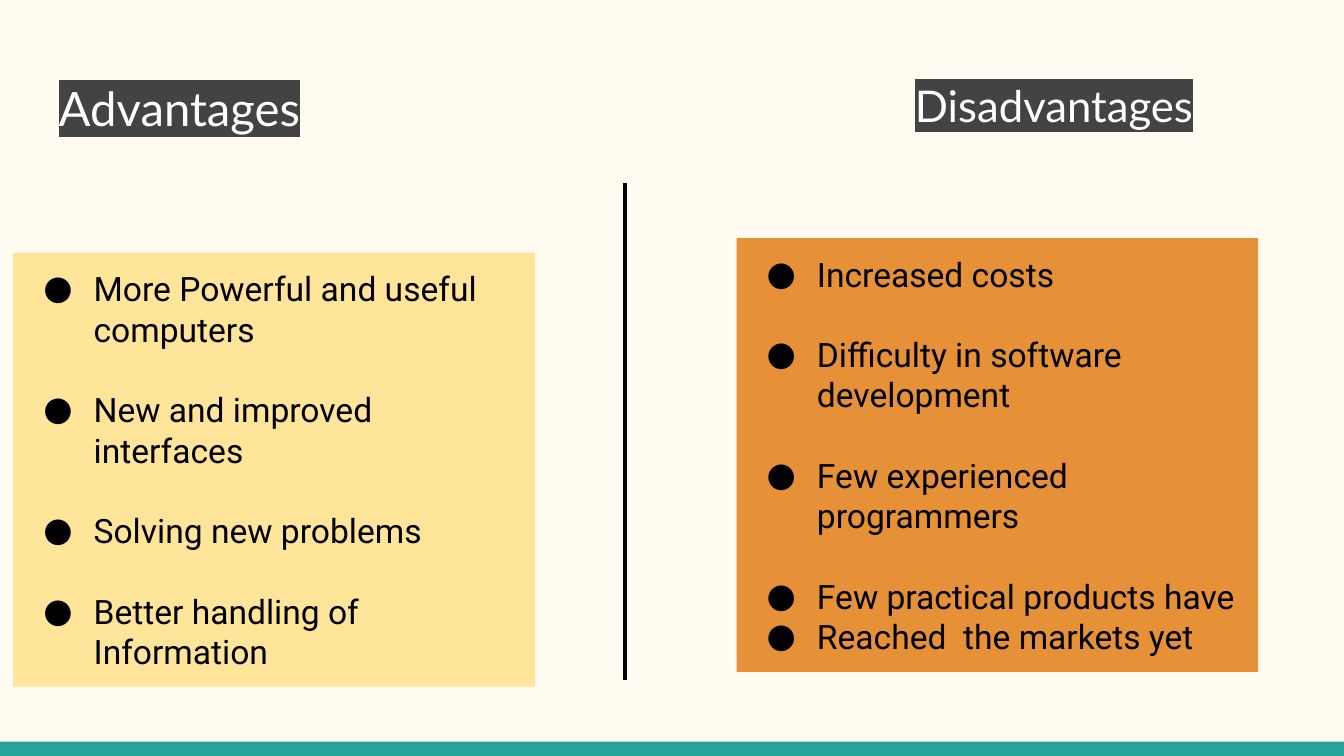
from lxml import etree
from pptx import Presentation
from pptx import util as u
from pptx.dml.color import RGBColor
from pptx.enum import shapes, text
from pptx.oxml import ns

HUES = {
    "page": "FFFBF0", "bar": "26A69A", "ink": "000000", "white": "FFFFFF",
    "mark": "434343", "pros": "FFE599", "cons": "E69138",
}
PAD = 0.25
LINE = 21.6

PROS = [
    "More Powerful and useful computers",
    "New and improved interfaces",
    "Solving new problems",
    "Better handling of Information",
]
CONS = [
    "Increased costs",
    "Difficulty in software development",
    "Few experienced programmers",
    "Few practical products have",
    "Reached  the markets yet",
]


def hue(name):
    """Return the named colour."""
    return RGBColor.from_string(HUES[name])


def paint(fill, name):
    """Make a fill solid in the named colour."""
    fill.solid()
    fill.fore_color.rgb = hue(name)


def place(item, box):
    """Move an item to a left, top, width, height box in centimetres."""
    item.left, item.top, item.width, item.height = map(u.Cm, box)


def setup(frame, anchor):
    """Give a text frame its margins, wrapping and anchor."""
    frame.margin_left = frame.margin_right = u.Cm(PAD)
    frame.margin_top = frame.margin_bottom = u.Cm(PAD)
    frame.word_wrap = True
    frame.auto_size = text.MSO_AUTO_SIZE.NONE
    frame.vertical_anchor = anchor


def style(para, face, size, name):
    """Format every run of a paragraph."""
    for run in para.runs:
        run.font.name = face
        run.font.size = u.Pt(size)
        run.font.bold = False
        run.font.color.rgb = hue(name)


def heading(holder, box, label, size):
    """Write a highlighted column heading."""
    place(holder, box)
    frame = holder.text_frame
    setup(frame, text.MSO_ANCHOR.TOP)
    frame.text = label
    para = frame.paragraphs[0]
    para.line_spacing = 1.15
    para.space_before = u.Pt(0)
    para.space_after = u.Pt(12)
    style(para, "Lato", size, "white")
    mark = etree.Element(ns.qn("a:highlight"))
    etree.SubElement(mark, ns.qn("a:srgbClr"), val=HUES["mark"])
    para.runs[0].font.fill._xPr.find(ns.qn("a:solidFill")).addnext(mark)


def panel(holder, box, items, name, tight=()):
    """Write a bulleted list on a coloured panel; tight rows get no gap."""
    place(holder, box)
    paint(holder.fill, name)
    frame = holder.text_frame
    setup(frame, text.MSO_ANCHOR.MIDDLE)
    frame.text = "\n".join(items)
    for row, para in enumerate(frame.paragraphs):
        style(para, "Roboto", 18, "ink")
        props = para._p.get_or_add_pPr()
        props.set("marL", str(u.Cm(1.27)))
        props.set("indent", str(u.Cm(-0.95)))
        etree.SubElement(props, ns.qn("a:buFont"), typeface="Roboto")
        etree.SubElement(props, ns.qn("a:buChar"), char="●")
        para.space_before = u.Pt(0 if row == 0 or row in tight else LINE)
        para.space_after = u.Pt(0)


def footer(slide, box):
    """Draw the coloured bar along the bottom edge."""
    bar = slide.shapes.add_shape(shapes.MSO_SHAPE.RECTANGLE, *map(u.Cm, box))
    bar.shadow.inherit = False
    paint(bar.fill, "bar")
    bar.line.fill.background()


def divider(slide, left, top, height):
    """Draw the vertical rule between the columns."""
    ends = map(u.Cm, (left, top, left, top + height))
    rule = slide.shapes.add_connector(shapes.MSO_CONNECTOR.STRAIGHT, *ends)
    rule.line.color.rgb = hue("ink")
    rule.line.width = u.Pt(2.25)
    etree.SubElement(rule._element.spPr, ns.qn("a:effectLst"))


def main():
    """Build and save the comparison slide."""
    deck = Presentation()
    deck.slide_width, deck.slide_height = u.Cm(25.4), u.Cm(14.29)
    slide = deck.slides.add_slide(deck.slide_layouts.get_by_name("Comparison"))
    paint(slide.background.fill, "page")
    title, left, pros, right, cons = slide.placeholders
    title._element.getparent().remove(title._element)

    footer(slide, (0, 14.02, 25.4, 0.27))
    heading(left, (0.86, 1.09, 5.97, 1.96), "Advantages", 25.3)
    heading(right, (17.04, 1.09, 5.97, 1.96), "Disadvantages", 23.4)
    divider(slide, 11.81, 3.45, 9.4)
    panel(pros, (0.25, 4.78, 9.86, 8.2), PROS, "pros")
    panel(cons, (13.92, 4.5, 9.86, 8.2), CONS, "cons", tight=(4,))
    deck.save("out.pptx")


if __name__ == "__main__":
    main()
